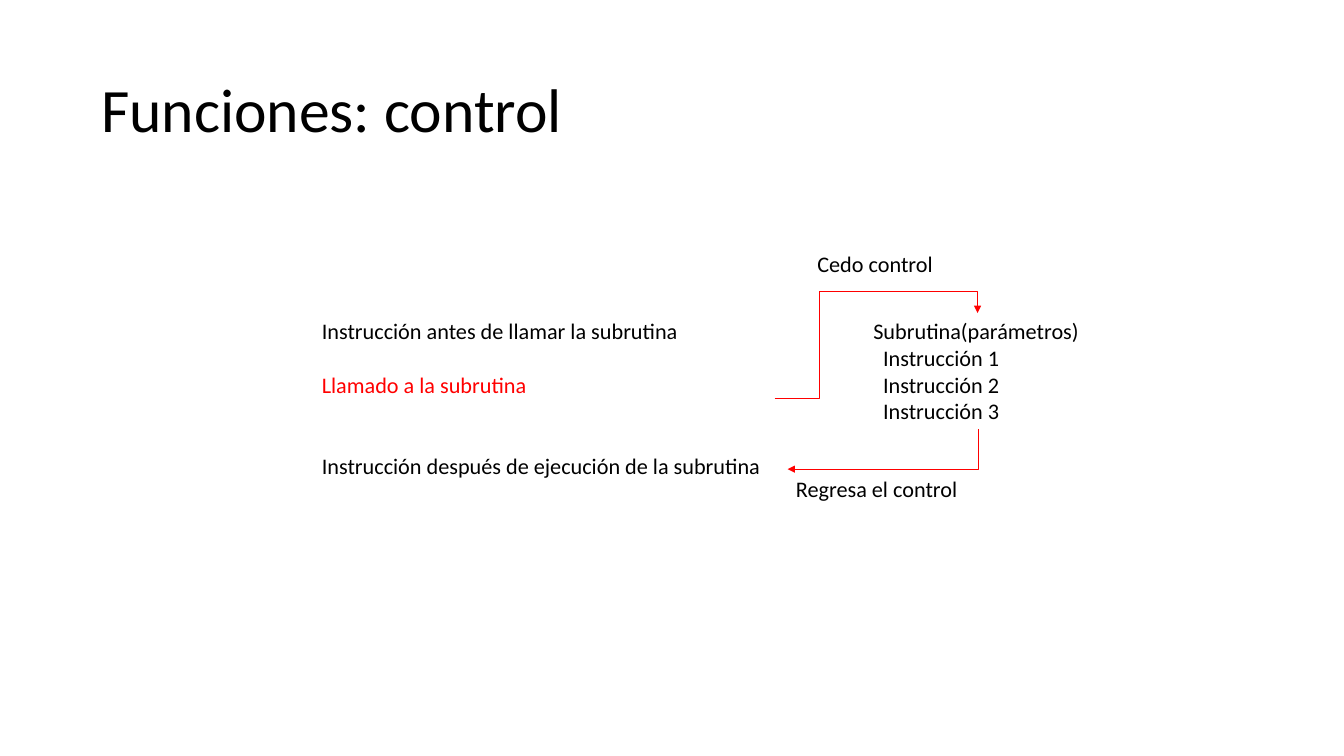
import pptx
import pptx.dml.color
import pptx.enum.shapes
import pptx.enum.text
import pptx.oxml
import pptx.oxml.ns
import pptx.util
from pptx.util import Inches

BLACK = pptx.dml.color.RGBColor(0x00, 0x00, 0x00)
RED = pptx.dml.color.RGBColor(0xFF, 0x00, 0x00)
FONT = "Calibri"
BODY_SIZE = 18
LINE_PITCH = 22  # points taken by one line of body text


def add_text(slide, left, top, width, height, lines, size=BODY_SIZE):
    """Add a text box; each line is (text, colour, lines skipped before, indent)."""
    box = slide.shapes.add_textbox(
        Inches(left), Inches(top), Inches(width), Inches(height))
    frame = box.text_frame
    frame.word_wrap = True
    for index, (text, colour, skipped, indent) in enumerate(lines):
        paragraph = frame.paragraphs[0] if index == 0 else frame.add_paragraph()
        paragraph.text = text
        paragraph.space_before = pptx.util.Pt(skipped * LINE_PITCH)
        if indent:
            paragraph._p.get_or_add_pPr().set("marL", str(Inches(indent)))
        font = paragraph.runs[0].font
        font.name = FONT
        font.size = pptx.util.Pt(size)
        font.color.rgb = colour
    return frame


def add_label(slide, left, top, width, text):
    add_text(slide, left, top, width, 0.4, [(text, BLACK, 0, 0)])


def add_bent_arrow(slide, start, end, preset, adjustments=(), rotation=0):
    """Add a thin red elbow arrow with the given bends."""
    arrow = slide.shapes.add_connector(
        pptx.enum.shapes.MSO_CONNECTOR.ELBOW,
        *(Inches(value) for value in start + end))
    arrow.line.color.rgb = RED
    arrow.line.width = pptx.util.Pt(0.5)

    properties = arrow._element.spPr
    if rotation:
        properties.find(pptx.oxml.ns.qn("a:xfrm")).set("rot", str(rotation * 60000))
    geometry = properties.find(pptx.oxml.ns.qn("a:prstGeom"))
    geometry.set("prst", preset)
    guides = geometry.find(pptx.oxml.ns.qn("a:avLst"))
    for number, share in enumerate(adjustments, start=1):
        guide = pptx.oxml.parse_xml(f'<a:gd {pptx.oxml.ns.nsdecls("a")}/>')
        guide.set("name", f"adj{number}")
        guide.set("fmla", f"val {round(share * 100000)}")
        guides.append(guide)

    line = arrow.line._get_or_add_ln()
    line.append(pptx.oxml.parse_xml(
        f'<a:tailEnd {pptx.oxml.ns.nsdecls("a")} type="triangle"/>'))
    properties.append(pptx.oxml.parse_xml(
        f'<a:effectLst {pptx.oxml.ns.nsdecls("a")}/>'))


def main():
    presentation = pptx.Presentation()
    presentation.slide_width = Inches(15.11)
    presentation.slide_height = Inches(8.5)
    slide = presentation.slides.add_slide(presentation.slide_layouts[6])

    # Title
    title = add_text(slide, 1.04, 0.45, 13.03, 1.64,
                     [("Funciones: control", BLACK, 0, 0)], size=49.9)
    title.vertical_anchor = pptx.enum.text.MSO_ANCHOR.MIDDLE
    title.paragraphs[0].line_spacing = 0.9

    # Calling program
    add_text(slide, 3.52, 3.52, 5.2, 1.92, [
        ("Instrucción antes de llamar la subrutina", BLACK, 0, 0),
        ("Llamado a la subrutina", RED, 1, 0),
        ("Instrucción después de ejecución de la subrutina", BLACK, 2, 0),
    ])

    # Subroutine
    steps = [(f"Instrucción {number}", BLACK, 0, 0.11) for number in range(1, 4)]
    add_text(slide, 9.72, 3.52, 2.54, 1.31,
             [("Subrutina(parámetros)", BLACK, 0, 0)] + steps)

    # Control passes to the subroutine
    add_bent_arrow(slide, (8.71, 4.48), (10.99, 3.52), "bentConnector4",
                   adjustments=(0.22, 1.26))
    add_label(slide, 9.09, 2.76, 1.52, "Cedo control")

    # Control returns to the caller; the ends are given before the quarter turn
    add_bent_arrow(slide, (9.7, 3.98), (10.15, 6.12), "bentConnector2", rotation=90)
    add_label(slide, 8.85, 5.29, 2.04, "Regresa el control")

    presentation.save("out.pptx")


if __name__ == "__main__":
    main()
